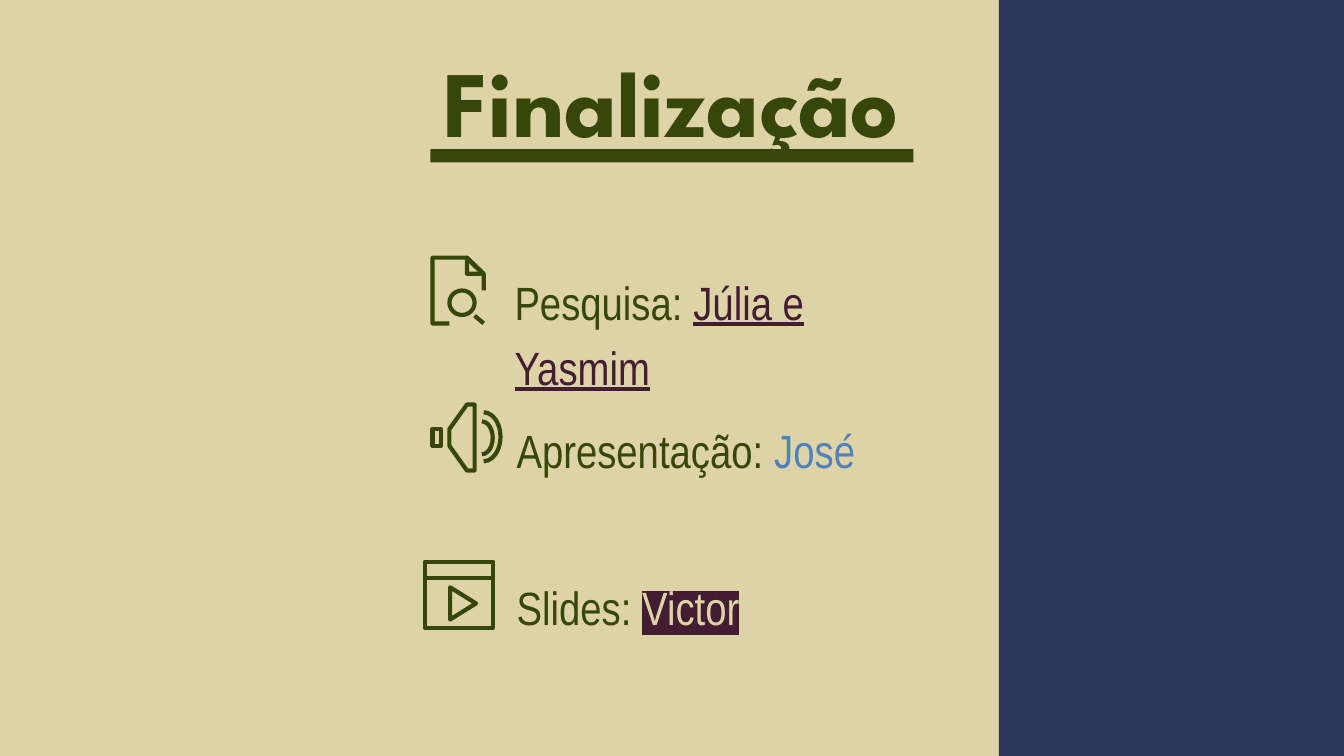
from pptx import Presentation
from pptx.dml.color import RGBColor
from pptx.enum.shapes import MSO_CONNECTOR, MSO_SHAPE
from pptx.enum.text import MSO_ANCHOR, MSO_AUTO_SIZE, PP_ALIGN
from pptx.oxml.ns import qn
from pptx.util import Pt
from lxml import etree

RECTANGLE, OVAL, ARC = MSO_SHAPE.RECTANGLE, MSO_SHAPE.OVAL, MSO_SHAPE.ARC
STRAIGHT = MSO_CONNECTOR.STRAIGHT
TOP, CENTER, NO_FIT = MSO_ANCHOR.TOP, PP_ALIGN.CENTER, MSO_AUTO_SIZE.NONE

PX = 9525
TITLE_ONLY = 5
COLORS = {
    "sand": "DED3A6",
    "olive": "374709",
    "navy": "2A3759",
    "plum": "431D32",
    "blue": "4F81BD",
}


def rgb(name):
    return RGBColor.from_string(COLORS[name])


def px(*lengths):
    return [length * PX for length in lengths]


def add_block(slide, box, color):
    block = slide.shapes.add_shape(RECTANGLE, *px(*box))
    block.shadow.inherit = False
    block.fill.solid()
    block.fill.fore_color.rgb = rgb(color)
    block.line.fill.background()


def style_stroke(stroke):
    stroke.line.color.rgb = rgb("olive")
    stroke.line.width = Pt(4.5)


def outline(shape):
    shape.shadow.inherit = False
    shape.fill.background()
    style_stroke(shape)


def add_outline(slide, kind, origin, box):
    left, top, width, height = box
    shape = slide.shapes.add_shape(
        kind, *px(origin[0] + left, origin[1] + top, width, height))
    outline(shape)
    return shape


def add_path(slide, origin, points, close=True):
    builder = slide.shapes.build_freeform(*points[0], scale=PX)
    builder.add_line_segments(points[1:], close=close)
    outline(builder.convert_to_shape(*px(*origin)))


def add_stroke(slide, origin, start, end):
    x, y = origin
    stroke = slide.shapes.add_connector(
        STRAIGHT, *px(x + start[0], y + start[1], x + end[0], y + end[1]))
    style_stroke(stroke)
    etree.SubElement(stroke._element.spPr, qn("a:effectLst"))


def draw_search_page(slide, origin):
    add_path(slide, origin, [(49, 0), (49, 23), (73, 23)])
    add_path(slide, origin,
             [(73, 47), (73, 24), (48, 0), (0, 0), (0, 94), (24, 94)], close=False)
    add_stroke(slide, origin, (60, 83), (73, 94))
    add_outline(slide, OVAL, origin, (24, 47, 36, 35))


def draw_speaker(slide, origin):
    add_outline(slide, RECTANGLE, origin, (0, 35, 12, 24))
    add_path(slide, origin,
             [(60, 0), (49, 0), (24, 35), (24, 59), (49, 94), (60, 94)])
    for box in [(49, 11, 48, 70), (55, 24, 31, 47)]:
        wave = add_outline(slide, ARC, origin, box)
        wave.adjustments[0], wave.adjustments[1] = 162, 54


def draw_player(slide, origin):
    for height in (94, 23):
        add_outline(slide, RECTANGLE, origin, (0, 0, 97, height))
    add_path(slide, origin, [(36, 36), (73, 59), (36, 82)])


def clear_margins(frame):
    frame.margin_left = frame.margin_top = 0
    frame.margin_right = frame.margin_bottom = 0
    frame.word_wrap = True
    frame.auto_size = NO_FIT
    frame.vertical_anchor = TOP


def add_title(slide, box, text):
    title = slide.shapes.title
    title.left, title.top, title.width, title.height = px(*box)
    clear_margins(title.text_frame)
    title.text_frame.text = text
    heading = title.text_frame.paragraphs[0]
    heading.alignment = CENTER
    heading.line_spacing = Pt(140.6)
    heading.font.name = "League Spartan"
    heading.font.size = Pt(100.5)
    heading.font.bold = True
    heading.font.color.rgb = rgb("olive")


def add_credit(slide, box, task, person, color, underline=False, highlight=None):
    frame = slide.shapes.add_textbox(*px(*box)).text_frame
    clear_margins(frame)
    credit = frame.paragraphs[0]
    credit.line_spacing = Pt(70)
    credit.font.name = "Arial Narrow"
    credit.font.size = Pt(50)
    credit.font.color.rgb = rgb("olive")
    credit.add_run().text = task
    name = credit.add_run()
    name.text = person
    name.font.color.rgb = rgb(color)
    if underline:
        name.font.underline = True
    if highlight:
        marker = etree.SubElement(name.font._element, qn("a:highlight"))
        etree.SubElement(marker, qn("a:srgbClr"), val=COLORS[highlight])


def main():
    deck = Presentation()
    deck.slide_width, deck.slide_height = px(1920, 1080)
    slide = deck.slides.add_slide(deck.slide_layouts[TITLE_ONLY])
    slide.background.fill.solid()
    slide.background.fill.fore_color.rgb = rgb("sand")

    add_title(slide, (316, 36, 1287, 187), "Finalização")
    add_block(slide, (1427, 0, 493, 1080), "navy")

    add_credit(slide, (735, 378, 605, 280), "Pesquisa: ", "Júlia e Yasmim",
               "plum", underline=True)
    draw_search_page(slide, (618, 368))
    draw_speaker(slide, (618, 578))
    add_credit(slide, (738, 590, 605, 186), "Apresentação: ", "José", "blue")
    draw_player(slide, (607, 803))
    add_credit(slide, (738, 813, 544, 186), "Slides: ", "Victor", "sand",
               highlight="plum")

    add_block(slide, (615, 213, 690, 19), "olive")
    deck.save("out.pptx")


if __name__ == "__main__":
    main()
